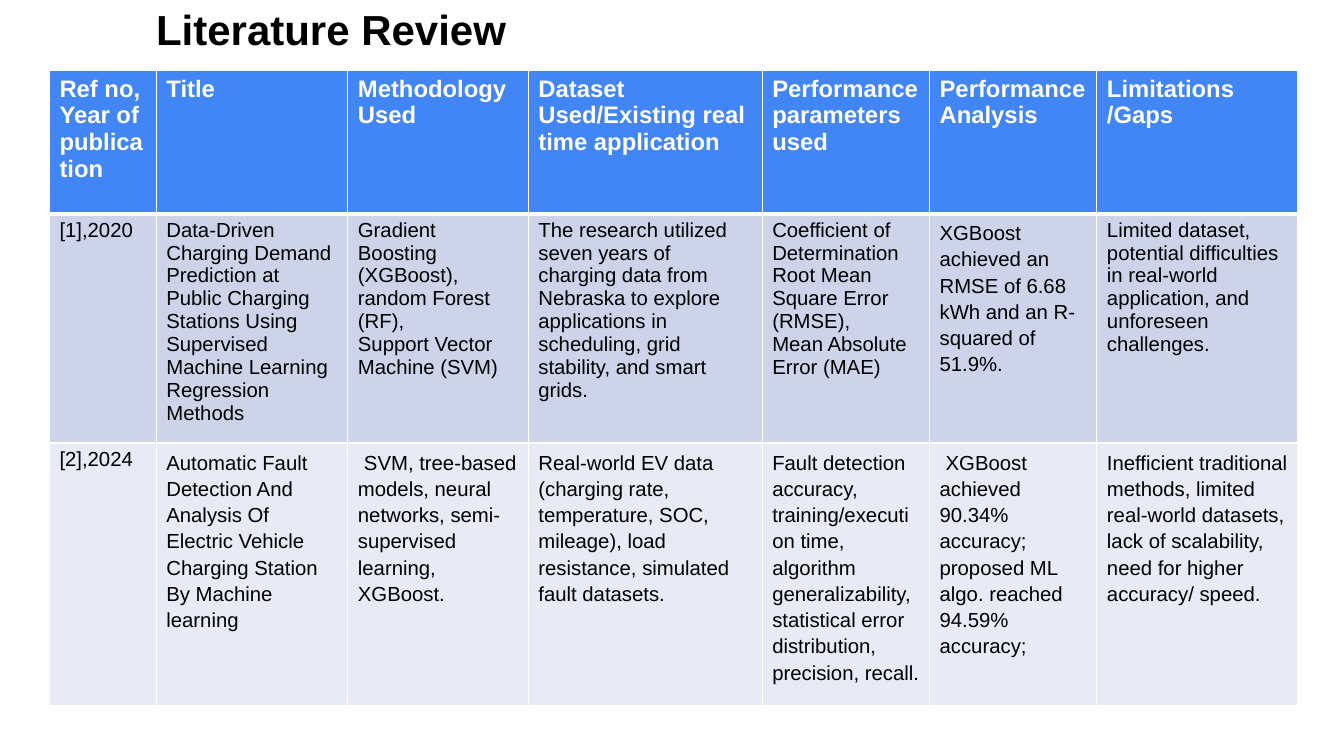
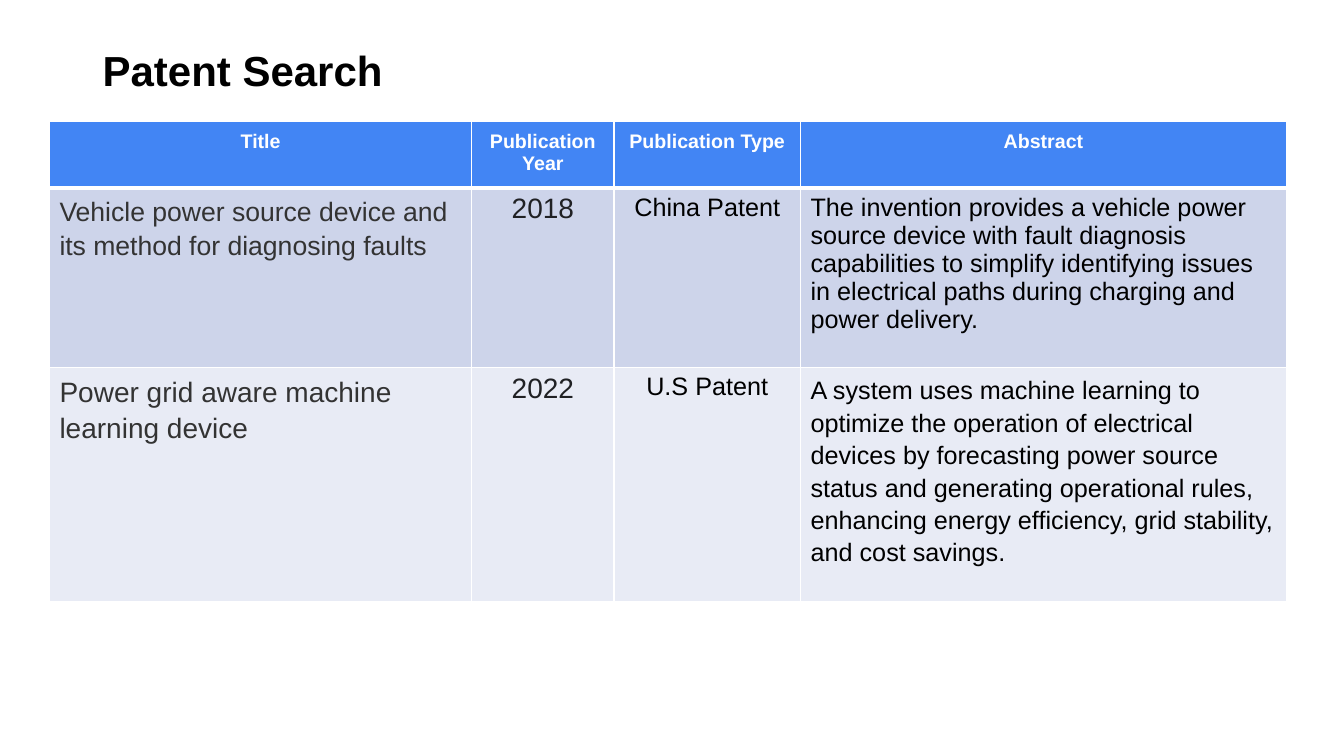
from lxml.etree import SubElement
from pptx import Presentation
from pptx.dml.color import RGBColor
from pptx.enum.text import MSO_ANCHOR as Anchor, PP_ALIGN as Align
from pptx.oxml.ns import qn
from pptx.util import Inches, Pt

FONT = "Arial"
BLACK, WHITE, GRAPHITE, INK = "000000", "FFFFFF", "333333", "202124"
HEADER_FILL = "4285F4"
BAND_FILLS = ("CDD4EA", "E8EBF5")
TABLE_LEFT = 0.49
THIN, THICK = 1, 3

LOOSE = {"spacing": 1.15}
LOOSE_INDENTED = {"spacing": 1.15, "indent": 0.06}
YEAR = {"size": 20, "color": INK, "align": Align.CENTER}
CENTERED = {"align": Align.CENTER}

REVIEW_COLUMNS = (1.06, 1.9, 1.79, 2.32, 1.66, 1.66, 1.99)
REVIEW_ROWS = (1.42, 2.22, 2.45)
REVIEW_HEADINGS = (
    "Ref no, Year of publication", "Title", "Methodology Used",
    "Dataset Used/Existing real time application",
    "Performance parameters used", "Performance Analysis", "Limitations /Gaps",
)
# Each body cell is its text and the format that differs from the table's.
REVIEW_BODY = (
    (
        ("[1],2020", {}),
        ("Data-Driven Charging Demand Prediction at Public Charging Stations "
         "Using Supervised Machine Learning Regression Methods", {}),
        ("Gradient Boosting (XGBoost),\nrandom Forest (RF),\n"
         "Support Vector Machine (SVM)", {}),
        ("The research utilized seven years of charging data from Nebraska to "
         "explore applications in scheduling, grid stability, and smart grids.", {}),
        ("Coefficient of Determination\nRoot Mean Square Error (RMSE),\n"
         "Mean Absolute Error (MAE)", {}),
        ("XGBoost achieved an RMSE of 6.68 kWh and an R-squared of 51.9%.", LOOSE),
        ("Limited dataset, potential difficulties in real-world application, "
         "and unforeseen challenges.", {}),
    ),
    (
        ("[2],2024", {}),
        ("Automatic Fault Detection And Analysis Of Electric Vehicle Charging "
         "Station By Machine learning", LOOSE),
        ("SVM, tree-based models, neural networks, semi-supervised learning, "
         "XGBoost.", LOOSE_INDENTED),
        ("Real-world EV data (charging rate, temperature, SOC, mileage), load "
         "resistance, simulated fault datasets.", LOOSE),
        ("Fault detection accuracy, training/execution time, algorithm "
         "generalizability, statistical error distribution, precision, recall.", LOOSE),
        ("XGBoost achieved 90.34% accuracy; proposed ML algo. reached 94.59% "
         "accuracy;", LOOSE_INDENTED),
        ("Inefficient traditional methods, limited real-world datasets, lack of "
         "scalability, need for higher accuracy/ speed.", LOOSE),
    ),
)

PATENT_COLUMNS = (4.19, 1.41, 1.85, 4.82)
PATENT_ROWS = (0.63, 1.78, 2.32)
PATENT_HEADINGS = ("Title", "Publication Year", "Publication Type", "Abstract")
PATENT_BODY = (
    (
        ("Vehicle power source device and its method for diagnosing faults",
         {"size": 19, "color": GRAPHITE, "spacing": 1.15}),
        ("2018", YEAR),
        ("China Patent", CENTERED),
        ("The invention provides a vehicle power source device with fault "
         "diagnosis capabilities to simplify identifying issues in electrical "
         "paths during charging and power delivery.", {}),
    ),
    (
        ("Power grid aware machine learning device",
         {"size": 20, "color": GRAPHITE, "spacing": 1.15}),
        ("2022", YEAR),
        ("U.S Patent", CENTERED),
        ("A system uses machine learning to optimize the operation of electrical "
         "devices by forecasting power source status and generating operational "
         "rules, enhancing energy efficiency, grid stability, and cost savings.", LOOSE),
    ),
)


def rgb(color):
    return RGBColor.from_string(color)


def write_text(frame, text, size, color=BLACK, bold=False, align=Align.LEFT,
               spacing=1.0, indent=0):
    """Fill a text frame, one paragraph for each line of text."""
    frame.word_wrap = True
    for index, line in enumerate(text.split("\n")):
        para = frame.add_paragraph() if index else frame.paragraphs[0]
        para.alignment = align
        para.line_spacing = spacing
        if indent:
            para._p.get_or_add_pPr().set("indent", str(Inches(indent)))
        span = para.add_run()
        span.text = line
        span.font.name = FONT
        span.font.size = Pt(size)
        span.font.bold = bold
        span.font.color.rgb = rgb(color)


def add_title(page, text, left, top):
    box = page.shapes.add_textbox(Inches(left), Inches(top), Inches(11.5), Inches(1.45))
    box.text_frame.vertical_anchor = Anchor.MIDDLE
    write_text(box.text_frame, text, size=30, bold=True, spacing=0.9)


def add_borders(cell, top, bottom):
    """Draw white cell borders; call before the fill is set."""
    properties = cell._tc.get_or_add_tcPr()
    for side, width in (("L", THIN), ("R", THIN), ("T", top), ("B", bottom)):
        line = SubElement(properties, qn(f"a:ln{side}"), w=str(Pt(width)))
        fill = SubElement(line, qn("a:solidFill"))
        SubElement(fill, qn("a:srgbClr"), val=WHITE)


def style_cell(cell, fill, top=THIN, bottom=THIN, inset=0.05):
    add_borders(cell, top, bottom)
    cell.fill.solid()
    cell.fill.fore_color.rgb = rgb(fill)
    cell.margin_left = cell.margin_right = Inches(0.1)
    cell.margin_top = cell.margin_bottom = Inches(inset)


def add_grid(page, top, columns, rows, headings, body, body_size,
             heading_size, heading_align=Align.LEFT, heading_inset=0.05):
    """Add a table with a blue heading row and banded body rows."""
    table = page.shapes.add_table(
        len(rows), len(columns), Inches(TABLE_LEFT), Inches(top),
        Inches(sum(columns)), Inches(sum(rows))).table
    for column, width in zip(table.columns, columns):
        column.width = Inches(width)
    for row, height in zip(table.rows, rows):
        row.height = Inches(height)

    for column, heading in enumerate(headings):
        cell = table.cell(0, column)
        style_cell(cell, HEADER_FILL, bottom=THICK, inset=heading_inset)
        write_text(cell.text_frame, heading, size=heading_size, color=WHITE,
                   bold=True, align=heading_align)

    for row, (entries, fill) in enumerate(zip(body, BAND_FILLS), start=1):
        for column, (text, text_format) in enumerate(entries):
            cell = table.cell(row, column)
            style_cell(cell, fill, top=THICK if row == 1 else THIN)
            write_text(cell.text_frame, text, **{"size": body_size, **text_format})


def add_page(deck):
    return deck.slides.add_slide(deck.slide_layouts[6])


def add_literature_review(deck):
    page = add_page(deck)
    add_title(page, "Literature Review", left=1.45, top=-0.41)
    add_grid(page, 0.7, REVIEW_COLUMNS, REVIEW_ROWS, REVIEW_HEADINGS, REVIEW_BODY,
             body_size=14.5, heading_size=17)


def add_patent_search(deck):
    page = add_page(deck)
    add_title(page, "Patent Search", left=0.92, top=0)
    add_grid(page, 1.2, PATENT_COLUMNS, PATENT_ROWS, PATENT_HEADINGS, PATENT_BODY,
             body_size=18, heading_size=14, heading_align=Align.CENTER,
             heading_inset=0.1)


def main():
    deck = Presentation()
    deck.slide_width, deck.slide_height = Inches(13.33), Inches(7.5)
    add_literature_review(deck)
    add_patent_search(deck)
    deck.save("out.pptx")


if __name__ == "__main__":
    main()
